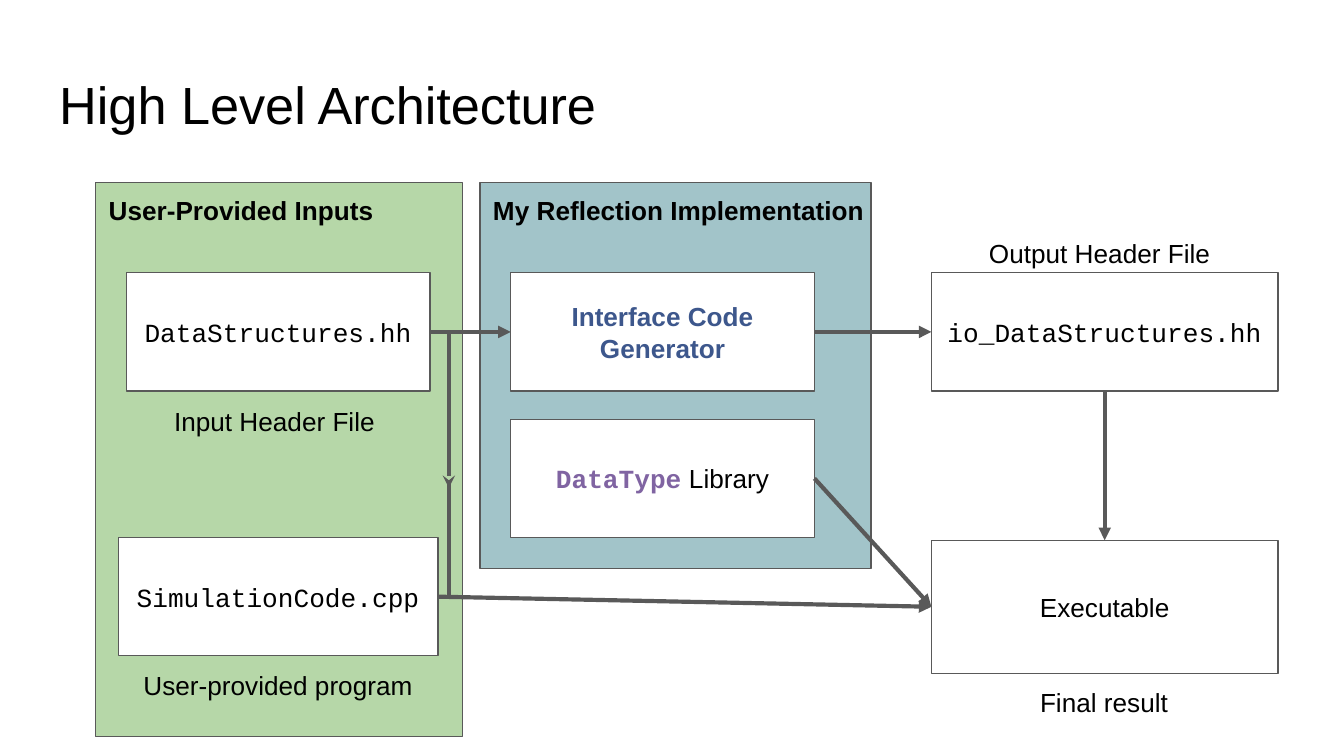
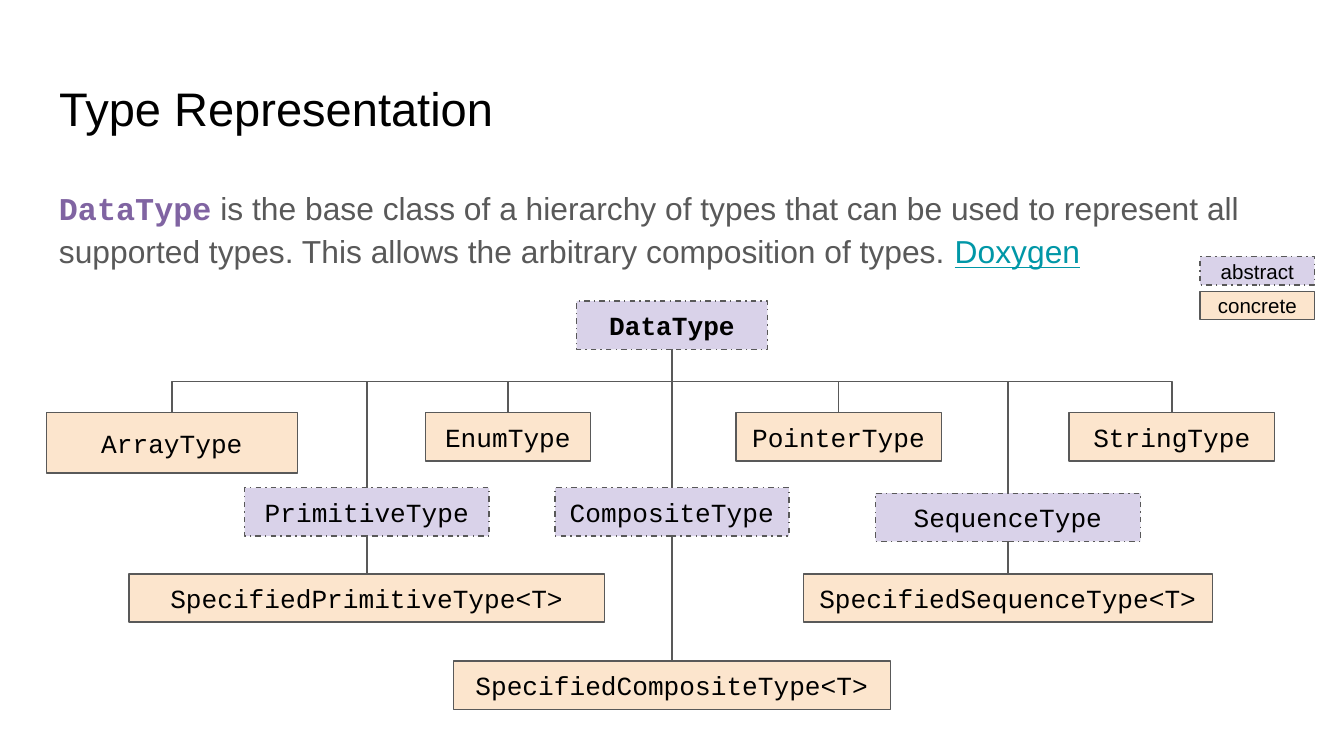
from lxml import etree
from pptx import Presentation
from pptx.dml.color import RGBColor
from pptx.enum.dml import MSO_LINE
from pptx.enum.shapes import MSO_CONNECTOR, MSO_SHAPE
from pptx.enum.text import MSO_ANCHOR, MSO_AUTO_SIZE, PP_ALIGN
from pptx.oxml.ns import qn
from pptx.util import Inches, Pt

RECT = MSO_SHAPE.RECTANGLE
STRAIGHT, ELBOW = MSO_CONNECTOR.STRAIGHT, MSO_CONNECTOR.ELBOW
LEFT, CENTER = PP_ALIGN.LEFT, PP_ALIGN.CENTER
TOP, MIDDLE = MSO_ANCHOR.TOP, MSO_ANCHOR.MIDDLE
DASH = MSO_LINE.DASH_DOT
NO_FIT = MSO_AUTO_SIZE.NONE

BLACK = RGBColor(0x00, 0x00, 0x00)
WHITE = RGBColor(0xFF, 0xFF, 0xFF)
GRAY = RGBColor(0x59, 0x59, 0x59)
GREEN = RGBColor(0xB6, 0xD7, 0xA8)
TEAL = RGBColor(0xA2, 0xC4, 0xC9)
BLUE = RGBColor(0x3D, 0x57, 0x8C)
PURPLE = RGBColor(0x80, 0x64, 0xA2)
LILAC = RGBColor(0xD9, 0xD2, 0xE9)
PEACH = RGBColor(0xFC, 0xE5, 0xCD)
LINK = RGBColor(0x00, 0x97, 0xA7)

SANS, MONO = "Arial", "Courier New"
WIDE = 10
HIGH = WIDE * 9 / 16
PAD = 0.1


def sans(text, size=14, color=BLACK, bold=False, under=False):
    return text, SANS, size, color, bold, under


def mono(text, size=14, color=BLACK, bold=False):
    return text, MONO, size, color, bold, False


PANELS = [
    ((0.71, 1.36, 2.73, 4.12), GREEN),
    ((3.57, 1.36, 2.91, 2.87), TEAL),
]
STEPS = {
    "maker": ((3.8, 2.03, 2.26, 0.88),
              [sans("Interface Code Generator", color=BLUE, bold=True)]),
    "result": ((6.93, 4.02, 2.58, 0.99), [sans("Executable")]),
    "input": ((0.94, 2.03, 2.26, 0.88), [mono("DataStructures.hh")]),
    "output": ((6.93, 2.03, 2.58, 0.88), [mono("io_DataStructures.hh")]),
    "types": ((3.8, 3.12, 2.26, 0.88),
              [mono("DataType", color=PURPLE, bold=True), sans(" Library")]),
    "code": ((0.88, 4, 2.38, 0.88), [mono("SimulationCode.cpp")]),
}
LABELS = [
    ((0.94, 2.92, 2.26, 0.44), "Input Header File ", CENTER, False),
    ((7.26, 1.67, 1.91, 0.44), "Output Header File", LEFT, False),
    ((7.26, 5.01, 1.91, 0.44), "Final result", CENTER, False),
    ((0.94, 4.88, 2.26, 0.44), "User-provided program", CENTER, False),
    ((0.71, 1.35, 2.22, 0.44), "User-Provided Inputs", LEFT, True),
    ((3.57, 1.35, 2.97, 0.44), "My Reflection Implementation", LEFT, True),
]
FLOWS = [
    ("code", 3, "result", 1),
    ("types", 3, "result", 1),
    ("input", 3, "maker", 1),
    ("maker", 3, "output", 1),
    ("output", 2, "result", 0),
]
BRANCH = [
    ((3.34, 2.47), (3.34, 3.63), "stealth"),
    ((3.34, 3.59), (3.34, 4.44), None),
]

INTRO = [
    mono("DataType", 17, PURPLE, True),
    sans(" is the base class of a hierarchy of types that can be used to "
         "represent all supported types. This allows the arbitrary "
         "composition of types. ", 17, GRAY),
    sans("Doxygen", 17, LINK, under=True),
]
ROOT = "DataType"
NODE_H = 0.36
NODES = [
    (ROOT, 5, 2.24, 1.42, NODE_H, True, None),
    ("ArrayType", 1.28, 3.07, 1.87, 0.45, False, ROOT),
    ("EnumType", 3.78, 3.07, 1.23, NODE_H, False, ROOT),
    ("PointerType", 6.24, 3.07, 1.53, NODE_H, False, ROOT),
    ("StringType", 8.72, 3.07, 1.53, NODE_H, False, ROOT),
    ("PrimitiveType", 2.73, 3.63, 1.82, NODE_H, True, ROOT),
    ("CompositeType", 5, 3.63, 1.74, NODE_H, True, ROOT),
    ("SequenceType", 7.5, 3.67, 1.97, NODE_H, True, ROOT),
    ("SpecifiedPrimitiveType<T>", 2.73, 4.27, 3.54, NODE_H, False, "PrimitiveType"),
    ("SpecifiedSequenceType<T>", 7.5, 4.27, 3.04, NODE_H, False, "SequenceType"),
    ("SpecifiedCompositeType<T>", 5, 4.92, 3.25, NODE_H, False, "CompositeType"),
]
BEND_Y = 2.84
KEYS = [("abstract", True), ("concrete", False)]


def place(shape, area):
    shape.left, shape.top, shape.width, shape.height = map(Inches, area)


def write(shape, runs, align=LEFT, anchor=TOP, space=1.0):
    frame = shape.text_frame
    frame.auto_size = NO_FIT
    frame.word_wrap = True
    frame.vertical_anchor = anchor
    frame.margin_left = frame.margin_right = Inches(PAD)
    frame.margin_top = frame.margin_bottom = Inches(PAD)
    para = frame.paragraphs[0]
    para.alignment = align
    para.line_spacing = space
    for text, face, size, color, bold, under in runs:
        run = para.add_run()
        run.text = text
        font = run.font
        font.name, font.size, font.bold = face, Pt(size), bold
        font.color.rgb = color
        if under:
            font.underline = True
    return para


def label(slide, area, runs, align=LEFT, space=1.0):
    return write(slide.shapes.add_textbox(*map(Inches, area)), runs, align,
                 space=space)


def box(slide, area, fill, runs=(), dash=False):
    shape = slide.shapes.add_shape(RECT, *map(Inches, area))
    shape.shadow.inherit = False
    shape.fill.solid()
    shape.fill.fore_color.rgb = fill
    shape.line.color.rgb = GRAY
    shape.line.width = Pt(0.75)
    if dash:
        shape.line.dash_style = DASH
    if runs:
        write(shape, runs, CENTER, MIDDLE)
    return shape


def type_box(slide, area, run, dash):
    return box(slide, area, LILAC if dash else PEACH, [run], dash)


def wire(slide, start, end, width, tail=None, kind=STRAIGHT):
    line = slide.shapes.add_connector(kind, *map(Inches, (*start, *end)))
    line.line.color.rgb = GRAY
    line.line.width = Pt(width)
    props = line._element.spPr
    if tail:
        etree.SubElement(props.find(qn("a:ln")), qn("a:tailEnd"), type=tail)
    etree.SubElement(props, qn("a:effectLst"))
    return line


def join(slide, first, side, last, goal, width, tail=None):
    line = wire(slide, (0, 0), (1, 1), width, tail)
    line.begin_connect(first, side)
    line.end_connect(last, goal)


def bend(slide, start, end):
    (x1, y1), (x2, y2) = start, end
    mid_x, mid_y = (x1 + x2) / 2, (y1 + y2) / 2
    drop, reach = (y2 - y1) / 2, abs(x2 - x1) / 2
    line = wire(slide, (mid_x - drop, mid_y - reach),
                (mid_x + drop, mid_y + reach), 0.75, kind=ELBOW)
    props = line._element.spPr
    frame = props.find(qn("a:xfrm"))
    frame.set("rot", str((90 if x2 < x1 else 270) * 60000))
    if x2 > x1:
        frame.set("flipH", "1")
    ratio = round((BEND_Y - y1) / (y2 - y1) * 100000)
    etree.SubElement(props.find(qn("a:prstGeom")).find(qn("a:avLst")),
                     qn("a:gd"), name="adj1", fmla=f"val {ratio}")


def add_slide(deck, title, size, space=1.0):
    slide = deck.slides.add_slide(deck.slide_layouts[5])
    head = slide.shapes.title
    place(head, (0.34, 0.49, 9.32, 0.63))
    write(head, [sans(title, size)], space=space)
    return slide


def draw_flow(deck):
    slide = add_slide(deck, "High Level Architecture", 28, 0.9)
    for area, fill in PANELS:
        box(slide, area, fill)
    steps = {name: box(slide, area, WHITE, runs)
             for name, (area, runs) in STEPS.items()}
    for area, text, align, bold in LABELS:
        label(slide, area, [sans(text, bold=bold)], align)
    for first, side, last, goal in FLOWS:
        join(slide, steps[first], side, steps[last], goal, 2.25, "triangle")
    for start, end, tail in BRANCH:
        wire(slide, start, end, 2.25, tail)


def draw_tree(deck):
    slide = add_slide(deck, "Type Representation", 25.2)
    label(slide, (0.34, 1.26, 9.32, 0.86), INTRO, space=1.15).space_after = Pt(12)
    boxes, feet = {}, {}
    for name, mid, top, width, height, dash, base in NODES:
        area = (mid - width / 2, top, width, height)
        boxes[name] = type_box(slide, area, mono(name, bold=name == ROOT), dash)
        feet[name] = mid, top + height
        if not base:
            continue
        if feet[base][0] == mid:
            join(slide, boxes[base], 2, boxes[name], 0, 0.75)
        else:
            bend(slide, feet[base], (mid, top))
    for i, (text, dash) in enumerate(KEYS):
        type_box(slide, (8.93, 1.91 + 0.26 * i, 0.85, 0.21), sans(text, 11), dash)


def main():
    deck = Presentation()
    deck.slide_width, deck.slide_height = Inches(WIDE), Inches(HIGH)
    draw_flow(deck)
    draw_tree(deck)
    deck.save("out.pptx")


if __name__ == "__main__":
    main()
